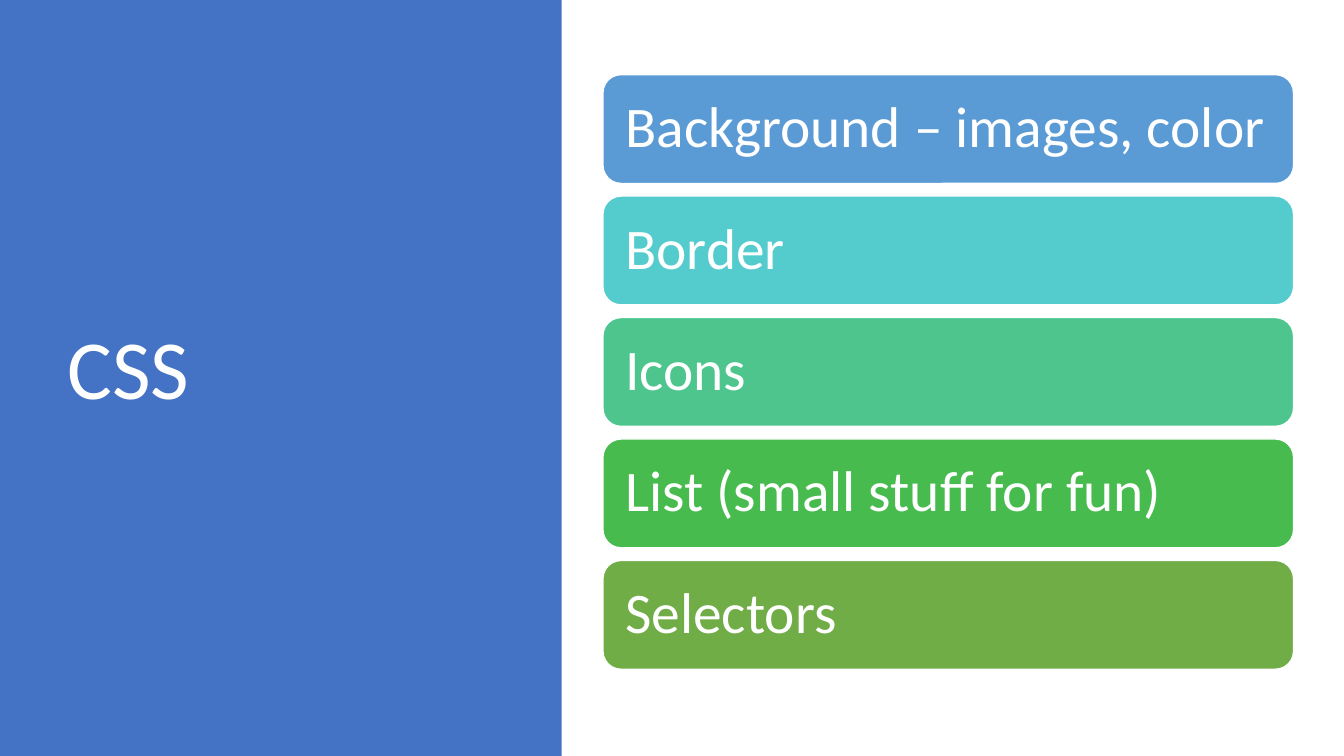
from pptx import Presentation
from pptx.dml.color import RGBColor
from pptx.enum.shapes import MSO_SHAPE
from pptx.enum.text import MSO_ANCHOR, MSO_AUTO_SIZE, PP_ALIGN
from pptx.util import Inches, Pt

RECT, ROUND = MSO_SHAPE.RECTANGLE, MSO_SHAPE.ROUNDED_RECTANGLE
MIDDLE, LEFT, NO_FIT = MSO_ANCHOR.MIDDLE, PP_ALIGN.LEFT, MSO_AUTO_SIZE.NONE
WHITE = RGBColor(0xFF, 0xFF, 0xFF)
BLUE = RGBColor(0x44, 0x72, 0xC4)
SKY = RGBColor(0x5B, 0x9B, 0xD5)
AQUA = RGBColor(0x54, 0xCC, 0xCD)
MINT = RGBColor(0x4D, 0xC5, 0x8D)
GREEN = RGBColor(0x48, 0xBB, 0x4F)
OLIVE = RGBColor(0x70, 0xAD, 0x47)
TOPICS = [
    ("Background – images, color", SKY),
    ("Border", AQUA),
    ("Icons", MINT),
    ("List (small stuff for fun)", GREEN),
    ("Selectors", OLIVE),
]


def write(shape, text, size):
    """Put white, left-aligned text in the middle of a shape's height."""
    frame = shape.text_frame
    frame.text = text
    frame.word_wrap = True
    frame.auto_size = NO_FIT
    frame.vertical_anchor = MIDDLE
    para = frame.paragraphs[0]
    para.alignment = LEFT
    para.line_spacing = 0.9
    font = para.runs[0].font
    font.name, font.size, font.color.rgb = "Calibri", Pt(size), WHITE


def add_block(slide, kind, box, fill):
    """Add a filled shape without shadow or line."""
    shape = slide.shapes.add_shape(kind, *map(Inches, box))
    shape.shadow.inherit = False
    shape.fill.solid()
    shape.fill.fore_color.rgb = fill
    shape.line.fill.background()
    return shape


def add_panel(slide, box, text):
    """Add the coloured side panel with the slide title on it."""
    left, top, width, height = box
    panel = add_block(slide, RECT, box, BLUE)
    title = slide.shapes.title
    title._element.addprevious(panel._element)
    title.left, title.top = Inches(left + 0.57), Inches(top + 0.68)
    title.width, title.height = Inches(width - 1.41), Inches(height - 1.48)
    write(title, text, 60)


def add_topics(slide, box, topics):
    """Stack one rounded bar per topic, evenly spaced in the box."""
    left, top, width, height = box
    bar = 1.08
    step = (height - bar) / (len(topics) - 1)
    for row, (text, fill) in enumerate(topics):
        shape = add_block(slide, ROUND, (left, top + row * step, width, bar), fill)
        shape.line.color.rgb = WHITE
        shape.line.width = Pt(1)
        write(shape, text, 41)
        frame = shape.text_frame
        frame.margin_left, frame.margin_right = Inches(0.17), Inches(0.1)


def main():
    """Build and save the slide."""
    deck = Presentation()
    deck.slide_width, deck.slide_height = Inches(13.33), Inches(7.5)
    slide = deck.slides.add_slide(deck.slide_layouts[5])
    add_panel(slide, (0, 0, 5.57, 7.5), "CSS")
    add_topics(slide, (5.98, 0.74, 6.85, 5.9), TOPICS)
    deck.save("out.pptx")


if __name__ == "__main__":
    main()
